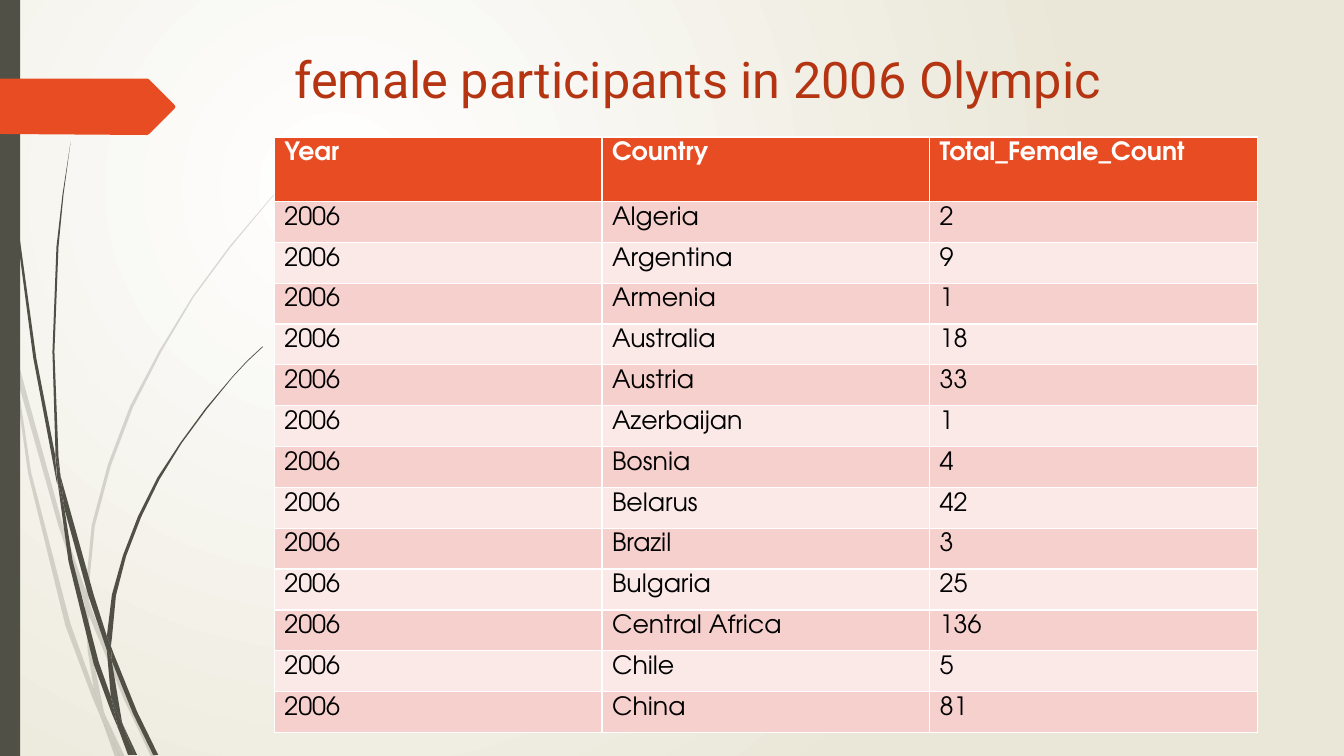
"""Build a slide with a table of female participants beside a wisp of grass."""
from dataclasses import dataclass

from lxml import etree
from pptx import Presentation
from pptx.dml.color import RGBColor
from pptx.enum.shapes import MSO_SHAPE
from pptx.oxml.ns import qn
from pptx.shapes.autoshape import Shape
from pptx.slide import Slide
from pptx.text.text import TextFrame
from pptx.util import Inches, Pt

RECT = MSO_SHAPE.RECTANGLE
WHITE = RGBColor(0xFF, 0xFF, 0xFF)
BLACK = RGBColor(0x00, 0x00, 0x00)
CREAM = RGBColor(0xEA, 0xE7, 0xD8)
MOSS = RGBColor(0x50, 0x50, 0x46)
ORANGE = RGBColor(0xE8, 0x4C, 0x22)
RUST = RGBColor(0xB5, 0x35, 0x13)
ROSE = RGBColor(0xF6, 0xD0, 0xCD)
BLUSH = RGBColor(0xFB, 0xE9, 0xE8)

Points = tuple[tuple[float, float], ...]


@dataclass(frozen=True)
class Blade:
    """An outline in inches with its colour and opacity in percent."""
    points: Points
    color: RGBColor = MOSS
    alpha: int = 100


@dataclass(frozen=True)
class Style:
    """Font settings of a paragraph."""
    face: str
    size: int
    color: RGBColor
    bold: bool = False


TITLE = Style("Roboto", 36, RUST)
HEAD = Style("TeX Gyre Adventor", 18, WHITE, True)
BODY = Style("TeX Gyre Adventor", 18, BLACK)

PALE: tuple[Points, ...] = (
    ((0.11, 3.5), (0.09, 3.22), (0, 2.82), (0, 2.99), (0.1, 3.44)),
    ((0.58, 5.22), (0.84, 5.99), (0.85, 5.86), (0.62, 5.2), (0.14, 3.45),
     (0.17, 3.76)),
    ((0.92, 6.07), (0.88, 5.96), (0.88, 6.1), (1.23, 6.94), (1.5, 7.51),
     (1.55, 7.51), (1.27, 6.92)),
    ((1.19, 7.51), (1.24, 7.51), (1.05, 7.11)),
    ((0.93, 6.83), (0.7, 6.19), (0.31, 4.69), (0.17, 3.76), (0.11, 3.5),
     (0.28, 4.7), (0.65, 6.21), (0.92, 6.93), (1.01, 7.14), (0.99, 7.07)),
    ((0.84, 5.99), (0.87, 6.46), (0.93, 6.83), (0.96, 6.92), (1.05, 7.11),
     (1.03, 7.06), (0.91, 6.46), (0.88, 6.1), (0.88, 6.08)),
    ((0.88, 5.84), (0.94, 5.22), (1.1, 4.62), (1.32, 4.04), (1.6, 3.49),
     (1.92, 2.95), (2.29, 2.45), (2.68, 1.98), (2.9, 1.75), (3.12, 1.54),
     (3.12, 1.53), (2.89, 1.75), (2.68, 1.97), (2.28, 2.44), (1.91, 2.94),
     (1.58, 3.48), (1.29, 4.03), (1.07, 4.61), (0.91, 5.21), (0.85, 5.84),
     (0.85, 5.86), (0.88, 5.96)),
    ((1.01, 7.14), (1.14, 7.51), (1.19, 7.51)),
    ((0.88, 6.08), (0.88, 5.96), (0.85, 5.86), (0.84, 5.99)),
    ((0.96, 6.92), (0.93, 6.83), (0.99, 7.07), (1.01, 7.14), (1.19, 7.51),
     (1.05, 7.11)),
)
DARK: tuple[Points, ...] = (
    ((0.07, 1.1), (0.17, 2.33), (0.33, 3.55), (0.56, 4.77), (0.57, 4.81),
     (0.55, 4.57), (0.55, 4.53), (0.36, 3.55), (0.19, 2.32), (0.08, 1.09),
     (0.05, 0.48), (0.04, 0), (0.03, 0), (0.04, 0.48)),
    ((0.88, 5.92), (1.06, 6.45), (1.06, 6.31), (0.93, 5.9), (0.6, 4.72),
     (0.64, 5.05)),
    ((1.13, 6.49), (1.1, 6.41), (1.11, 6.56), (1.32, 7.08), (1.52, 7.49),
     (1.57, 7.49), (1.36, 7.06)),
    ((1.1, 6.91), (0.98, 6.57), (0.72, 5.56), (0.64, 5.05), (0.57, 4.77),
     (0.68, 5.57), (0.93, 6.59), (1.11, 7.08), (1.17, 7.22), (1.16, 7.17)),
    ((0.6, 4.72), (0.58, 4.53), (0.54, 3.49), (0.58, 2.45), (0.63, 1.93),
     (0.7, 1.41), (0.62, 1.93), (0.56, 2.45), (0.52, 3.49), (0.55, 4.49)),
    ((1.33, 7.49), (1.36, 7.49), (1.22, 7.19)),
    ((0.57, 4.77), (0.64, 5.05), (0.6, 4.72), (0.55, 4.49), (0.55, 4.53)),
    ((1.11, 6.33), (1.15, 5.91), (1.25, 5.52), (1.4, 5.13), (1.58, 4.76),
     (1.8, 4.4), (2.05, 4.06), (2.31, 3.74), (2.45, 3.59), (2.61, 3.44),
     (2.6, 3.44), (2.45, 3.58), (2.31, 3.73), (2.04, 4.05), (1.79, 4.39),
     (1.56, 4.74), (1.37, 5.12), (1.22, 5.51), (1.11, 5.9), (1.06, 6.31),
     (1.1, 6.41)),
    ((1.17, 7.22), (1.27, 7.49), (1.31, 7.49)),
    ((1.06, 6.45), (1.1, 6.91), (1.16, 7.06), (1.22, 7.19), (1.21, 7.16),
     (1.11, 6.56), (1.09, 6.51)),
    ((1.06, 6.45), (1.09, 6.51), (1.11, 6.56), (1.1, 6.41), (1.06, 6.31)),
    ((1.16, 7.06), (1.1, 6.91), (1.16, 7.17), (1.17, 7.22), (1.3, 7.49),
     (1.33, 7.49), (1.22, 7.19)),
)
GRASS = [Blade(points, alpha=20) for points in PALE]
GRASS += [Blade(points) for points in DARK]
TAG = Blade(((0, 0.78), (1.46, 0.78), (1.48, 0.79), (1.73, 1.04), (1.74, 1.06),
             (1.73, 1.08), (1.48, 1.33), (1.46, 1.34), (0, 1.33)), ORANGE)

YEAR = "2006"
HEADS = ("Year", "Country", "Total_Female_Count")
COUNTS = (
    ("Algeria", 2), ("Argentina", 9), ("Armenia", 1), ("Australia", 18),
    ("Austria", 33), ("Azerbaijan", 1), ("Bosnia", 4), ("Belarus", 42),
    ("Brazil", 3), ("Bulgaria", 25), ("Central Africa", 136), ("Chile", 5),
    ("China", 81),
)
WIDTH, HEIGHT, TOP = 9.75, 5.91, 0.64


def paint(shape: Shape, color: RGBColor) -> None:
    """Give a shape a flat fill with no line or shadow."""
    shape.shadow.inherit = False
    shape.fill.solid()
    shape.fill.fore_color.rgb = color
    shape.line.fill.background()


def write(frame: TextFrame, text: str, style: Style) -> None:
    """Put one styled paragraph in a text frame."""
    line = frame.paragraphs[0]
    line.text = text
    font = line.font
    font.name, font.size, font.bold = style.face, Pt(style.size), style.bold
    font.color.rgb = style.color


def draw_back(slide: Slide) -> None:
    """Fill the background with a round glow."""
    fill = slide.background.fill
    fill.gradient()
    for stop, color in zip(fill.gradient_stops, (WHITE, CREAM)):
        stop.color.rgb = color
    line = slide.element.find(".//" + qn("a:lin"))
    glow = etree.Element(qn("a:path"), {"path": "circle"})
    etree.SubElement(glow, qn("a:fillToRect"),
                     {"l": "50000", "t": "50000", "r": "100000", "b": "100000"})
    line.getparent().replace(line, glow)


def draw_blade(slide: Slide, blade: Blade) -> None:
    """Draw one closed outline."""
    spots = [(Inches(x), Inches(y)) for x, y in blade.points]
    form = slide.shapes.build_freeform(*spots[0])
    form.add_line_segments(spots[1:], close=True)
    shape = form.convert_to_shape()
    paint(shape, blade.color)
    if blade.alpha < 100:
        tint = shape.element.find(".//" + qn("a:srgbClr"))
        etree.SubElement(tint, qn("a:alpha"), {"val": str(blade.alpha * 1000)})


def draw_table(slide: Slide) -> None:
    """Draw the table with one row per country."""
    rows = [HEADS] + [(YEAR, land, str(count)) for land, count in COUNTS]
    table = slide.shapes.add_table(
        len(rows), len(HEADS), Inches(2.72), Inches(1.36),
        Inches(WIDTH), Inches(HEIGHT)).table
    for col in table.columns:
        col.width = Inches(WIDTH / len(HEADS))
    for i, texts in enumerate(rows):
        table.rows[i].height = Inches((HEIGHT - TOP) / len(COUNTS) if i else TOP)
        color = (ROSE if i % 2 else BLUSH) if i else ORANGE
        for j, text in enumerate(texts):
            cell = table.cell(i, j)
            cell.fill.solid()
            cell.fill.fore_color.rgb = color
            write(cell.text_frame, text, BODY if i else HEAD)


def main() -> None:
    """Build and save the slide."""
    deck = Presentation()
    deck.slide_width, deck.slide_height = Inches(13.33), Inches(7.5)
    slide = deck.slides.add_slide(deck.slide_layouts[6])
    draw_back(slide)
    for blade in GRASS:
        draw_blade(slide, blade)
    paint(slide.shapes.add_shape(RECT, 0, 0, Inches(0.2), Inches(7.5)), MOSS)
    draw_blade(slide, TAG)
    title = slide.shapes.add_textbox(
        Inches(2.82), Inches(0.43), Inches(9.75), Inches(1.4)).text_frame
    title.word_wrap = True
    write(title, "female participants in 2006 Olympic", TITLE)
    draw_table(slide)
    deck.save("out.pptx")


if __name__ == "__main__":
    main()
